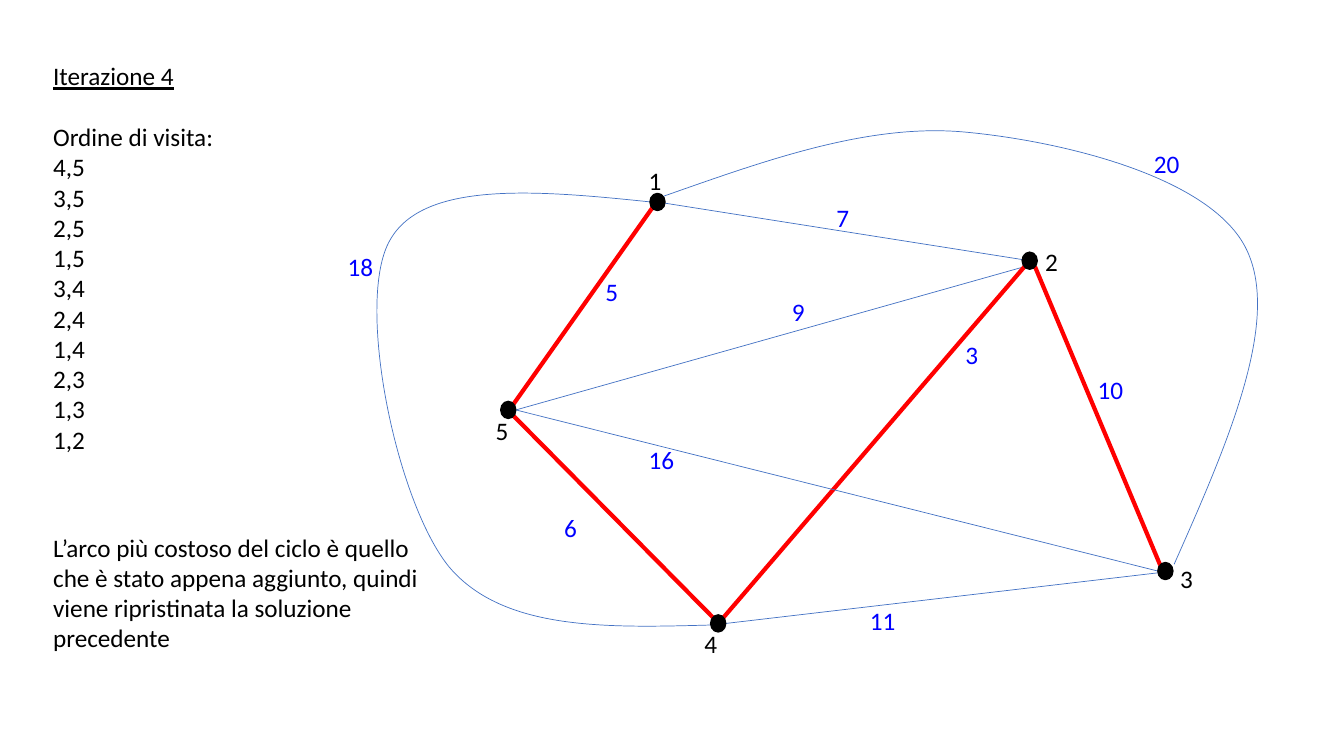
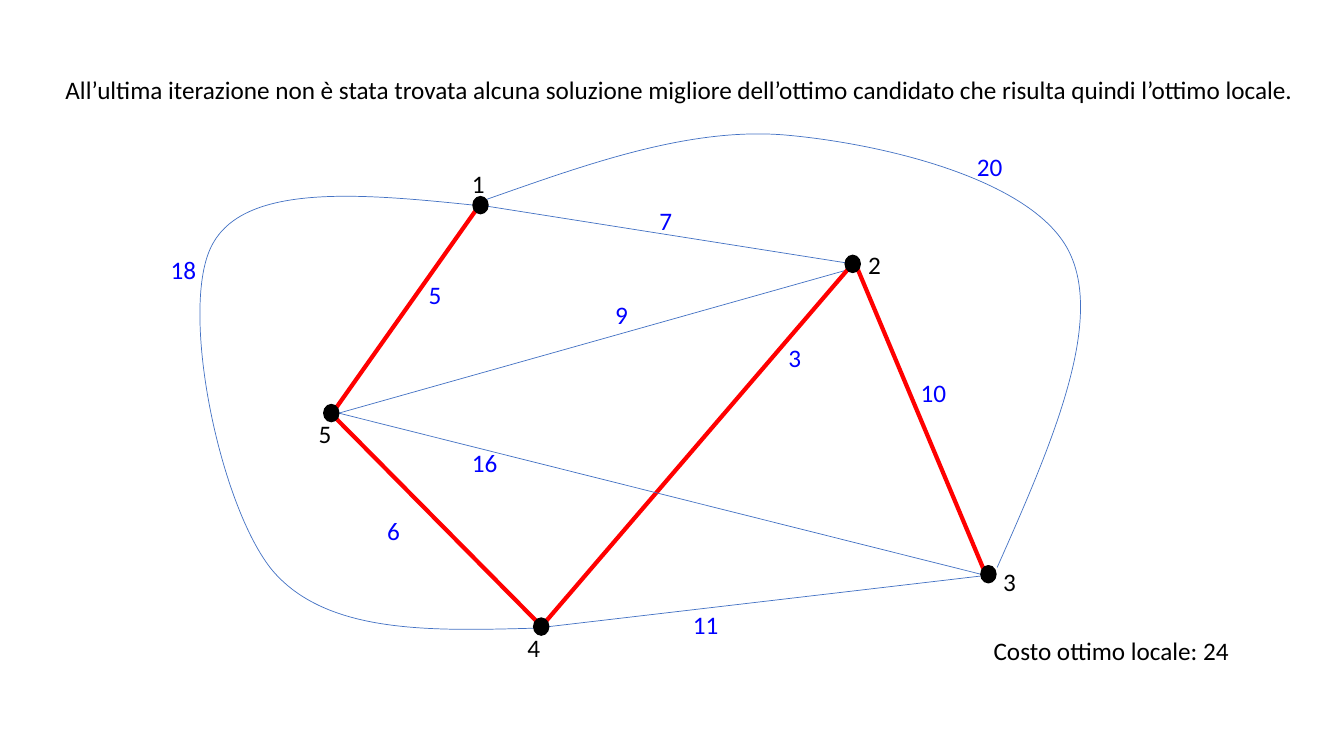
import pptx
import pptx.dml.color
import pptx.enum.shapes
import pptx.enum.text
import pptx.oxml.ns
import pptx.util
from lxml import etree
from pptx.util import Cm

BLACK, BLUE, RED, STEEL = "000000", "0000FF", "FF0000", "4472C4"
THIN, THICK = (STEEL, 0.5), (RED, 3)
FONT = {"name": "Calibri", "size": pptx.util.Pt(18)}
FRAME = {"auto_size": pptx.enum.text.MSO_AUTO_SIZE.SHAPE_TO_FIT_TEXT}
DOT_SIZE = (0.38, 0.43)
LABEL_HEIGHT = 1.03
LABEL_WIDTHS = {1: 0.84, 2: 1.17}
LINE_GAP = pptx.util.Pt(22)

NODES = {
    "1": {"center": (16.57, 5.09), "label": (16.1, 4.04)},
    "2": {"center": (25.95, 6.57), "label": (26.09, 6.07)},
    "3": {"center": (29.37, 14.39), "label": (29.49, 14.07)},
    "4": {"center": (18.1, 15.71), "label": (17.5, 15.72)},
    "5": {"center": (12.81, 10.33), "label": (12.24, 10.34)},
}
SITES = {
    "center": (0, 0), "left": (-0.5, 0), "right": (0.5, 0),
    "top left": (-0.35, -0.35), "top right": (0.35, -0.35),
    "bottom left": (-0.35, 0.35), "bottom right": (0.35, 0.35),
}
EDGES = [
    ("4", "right", "3", "right", THIN),
    ("1", "bottom left", "5", "top right", THICK),
    ("1", "center", "2", "center", THIN),
    ("2", "bottom right", "3", "top left", THICK),
    ("5", "bottom right", "4", "top left", THICK),
    ("5", "right", "2", "bottom left", THIN),
    ("4", "top right", "2", "bottom left", THICK),
    ("5", "right", "3", "left", THIN),
]
CURVES = [
    {"box": (9.5, 4.88, 8.43, 10.92),
     "points": [(16.59, 5.11), (13.64, 4.8), (10.69, 4.52), (9.83, 6.05),
                (8.94, 7.59), (9.98, 12.67), (11.33, 14.3),
                (12.7, 15.9), (15.32, 15.82), (17.93, 15.75)]},
    {"box": (16.71, 3.3, 14.99, 10.92),
     "points": [(16.71, 4.95), (19.3, 4.04), (21.89, 3.1), (24.33, 3.33),
                (26.8, 3.56), (30.56, 4.47), (31.42, 6.3),
                (32.28, 8.1), (30.94, 11.18), (29.59, 14.22)]},
]
COSTS = [
    ("7", (20.83, 4.98)), ("5", (15.01, 6.83)), ("9", (19.71, 7.34)),
    ("3", (24.08, 8.43)), ("16", (16.1, 11.07)), ("11", (21.67, 15.14)),
    ("20", (28.83, 3.61)), ("18", (8.51, 6.2)), ("6", (13.97, 12.78)),
    ("10", (27.41, 9.3)),
]
SLIDES = [
    {"shift": (0, 0), "texts": [
        {"box": (1.09, 1.4, 4.6, 11.02), "heading": True,
         "lines": ["Iterazione 4", "Ordine di visita:", "4,5", "3,5", "2,5", "1,5",
                   "3,4", "2,4", "1,4", "2,3", "1,3", "1,2"]},
        {"box": (1.09, 13.28, 9.83, 3.33), "wrap": True,
         "lines": ["L’arco più costoso del ciclo è quello che è stato appena aggiunto, "
                   "quindi viene ripristinata la soluzione precedente"]},
    ]},
    {"shift": (-4.46, 0.08), "texts": [
        {"box": (1.4, 1.75, 31.7, LABEL_HEIGHT),
         "lines": ["All’ultima iterazione non è stata trovata alcuna soluzione migliore "
                   "dell’ottimo candidato che risulta quindi l’ottimo locale."]},
        {"box": (24.79, 15.88, 6.53, LABEL_HEIGHT), "lines": ["Costo ottimo locale: 24"]},
    ]},
]


def color(value):
    return pptx.dml.color.RGBColor.from_string(value)


def apply_format(target, values):
    for name, value in values.items():
        setattr(target, name, value)


def moved(point, shift):
    return tuple(a + b for a, b in zip(point, shift))


def style_line(shape, style):
    shape.line.color.rgb = color(style[0])
    shape.line.width = pptx.util.Pt(style[1])


def add_text(slide, lines, box, ink=BLACK, wrap=False, heading=False):
    shape = slide.shapes.add_textbox(*map(Cm, box))
    frame = shape.text_frame
    apply_format(frame, {**FRAME, "word_wrap": wrap})
    frame.text = "\n".join(lines)
    for paragraph in frame.paragraphs:
        for run in paragraph.runs:
            apply_format(run.font, FONT)
            run.font.color.rgb = color(ink)
    if heading:
        frame.paragraphs[0].runs[0].font.underline = True
        frame.paragraphs[0].space_after = LINE_GAP


def add_label(slide, text, position, ink):
    add_text(slide, [text], (*position, LABEL_WIDTHS[len(text)], LABEL_HEIGHT), ink)


def site_point(node, site, shift):
    offset = [part * size for part, size in zip(SITES[site], DOT_SIZE)]
    return moved(moved(NODES[node]["center"], offset), shift)


def add_edge(slide, start, end, style):
    connector = slide.shapes.add_connector(
        pptx.enum.shapes.MSO_CONNECTOR.STRAIGHT, *map(Cm, start + end))
    style_line(connector, style)
    etree.SubElement(connector._element.spPr, pptx.oxml.ns.qn("a:effectLst"))


def add_curve(slide, curve, shift):
    qn = pptx.oxml.ns.qn
    left, top, width, height = curve["box"]
    points = [(Cm(x - left), Cm(y - top)) for x, y in curve["points"]]
    builder = slide.shapes.build_freeform(*points[0])
    builder.add_line_segments(points[1:], close=False)
    shape = builder.convert_to_shape()
    position = moved((left, top), shift)
    names = ("left", "top", "width", "height")
    apply_format(shape, dict(zip(names, map(Cm, position + (width, height)))))
    shape.fill.background()
    style_line(shape, THIN)
    shape.shadow.inherit = False
    outline = shape._element.find(".//" + qn("a:path"))
    for child in list(outline):
        outline.remove(child)
    outline.set("w", str(Cm(width)))
    outline.set("h", str(Cm(height)))
    steps = [("a:moveTo", points[:1])]
    steps += [("a:cubicBezTo", points[i:i + 3]) for i in range(1, len(points), 3)]
    for tag, group in steps:
        step = etree.SubElement(outline, qn(tag))
        for x, y in group:
            etree.SubElement(step, qn("a:pt"), x=str(x), y=str(y))


def add_dot(slide, center, shift):
    corner = moved(moved(center, shift), [-size / 2 for size in DOT_SIZE])
    shape = slide.shapes.add_shape(
        pptx.enum.shapes.MSO_SHAPE.OVAL, *map(Cm, corner + DOT_SIZE))
    shape.fill.solid()
    shape.fill.fore_color.rgb = color(BLACK)
    style_line(shape, (BLACK, 1))
    shape.shadow.inherit = False


def add_graph(slide, shift):
    for start, start_site, end, end_site, style in EDGES:
        add_edge(slide, site_point(start, start_site, shift),
                 site_point(end, end_site, shift), style)
    for curve in CURVES:
        add_curve(slide, curve, shift)
    for node in NODES.values():
        add_dot(slide, node["center"], shift)
    for name, node in NODES.items():
        add_label(slide, name, moved(node["label"], shift), BLACK)
    for cost, position in COSTS:
        add_label(slide, cost, moved(position, shift), BLUE)


def main():
    """Build the slides showing a weighted graph and its local optimum."""
    presentation = pptx.Presentation()
    presentation.slide_width, presentation.slide_height = Cm(33.87), Cm(19.05)
    for content in SLIDES:
        slide = presentation.slides.add_slide(presentation.slide_layouts[6])
        add_graph(slide, content["shift"])
        for text in content["texts"]:
            add_text(slide, **text)
    presentation.save("out.pptx")


if __name__ == "__main__":
    main()
